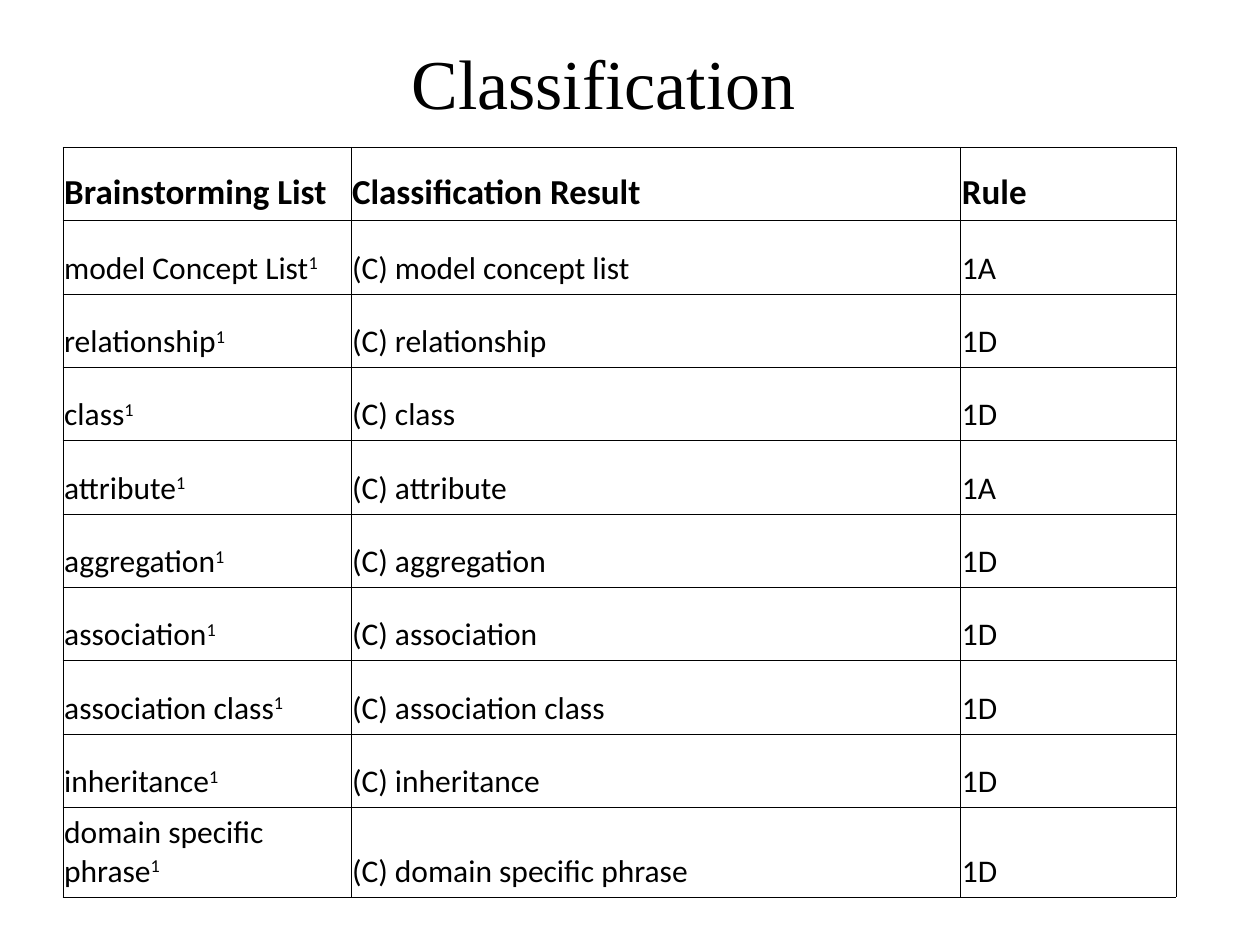
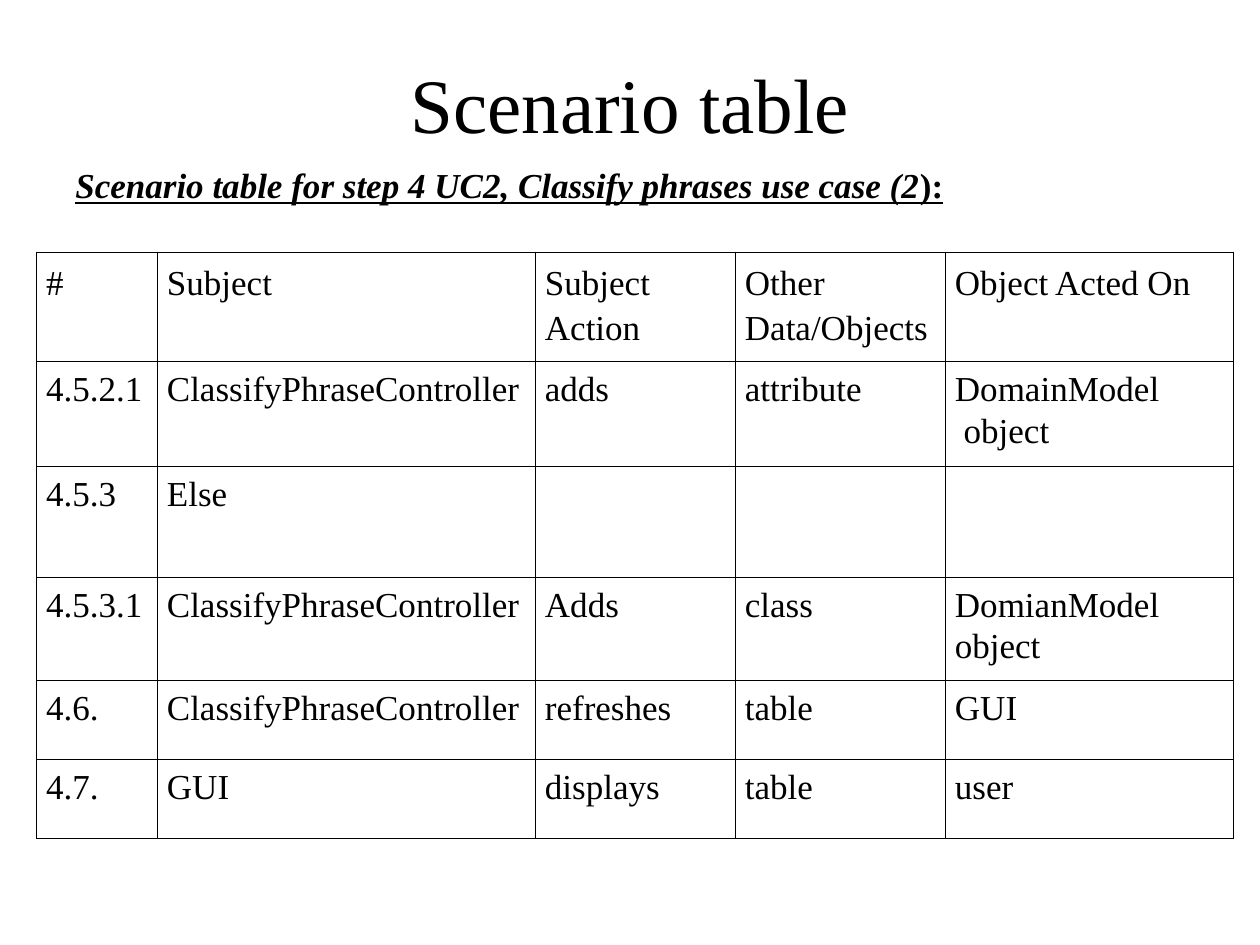
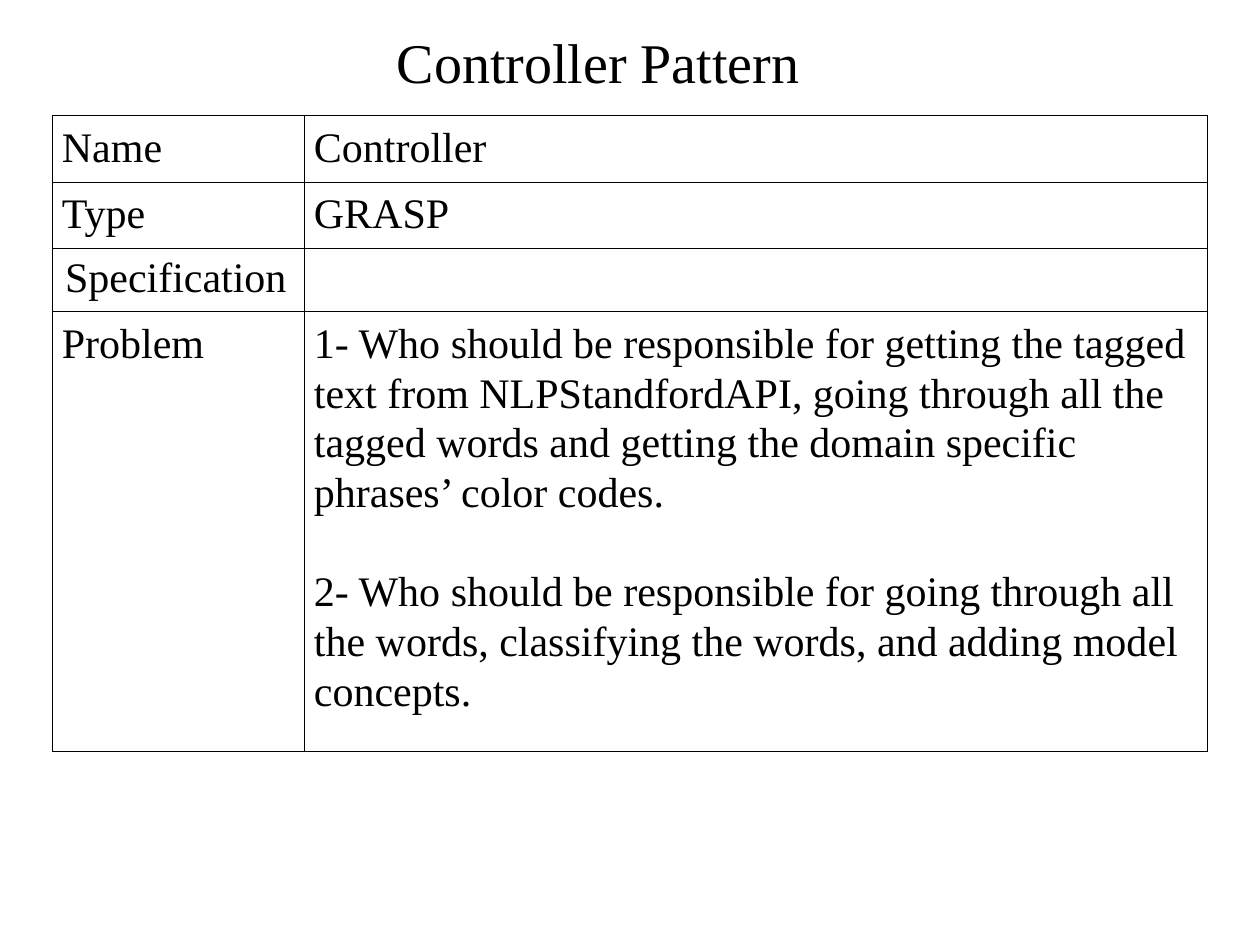
"""Builds three slides on classification, a scenario table and the controller pattern."""
from lxml import etree
from pptx import Presentation
from pptx.dml.color import RGBColor
from pptx.enum.text import MSO_ANCHOR, PP_ALIGN
from pptx.oxml.ns import qn
from pptx.util import Pt

CENTER, JUSTIFY = PP_ALIGN.CENTER, PP_ALIGN.JUSTIFY
MIDDLE, BOTTOM = MSO_ANCHOR.MIDDLE, MSO_ANCHOR.BOTTOM
COLORS = {"ink": "000000", "page": "FFFFFF"}
SERIF, SANS = "Times New Roman", "Calibri"
EDGE = 0.45


def write(para, text, size, face=SERIF, bold=False):
    run = para.add_run()
    run.text = text
    run.font.size = Pt(size)
    run.font.name = face
    run.font.bold = bold
    run.font.color.rgb = RGBColor.from_string(COLORS["ink"])
    return run


def grid(slide, left, top, widths, heights, rows, size, face=SERIF, pad=5.4):
    frame = slide.shapes.add_table(len(rows), len(widths), Pt(left), Pt(top),
                                   Pt(sum(widths)), Pt(sum(heights)))
    table = frame.table
    table.first_row = table.horz_banding = False
    for col, width in zip(table.columns, widths):
        col.width = Pt(width)
    for row, height, texts in zip(table.rows, heights, rows):
        row.height = Pt(height)
        for cell, text in zip(row.cells, texts):
            cell.margin_left = cell.margin_right = Pt(pad)
            cell.margin_top = cell.margin_bottom = Pt(3.6)
            props = cell._tc.get_or_add_tcPr()
            for side in ("a:lnL", "a:lnR", "a:lnT", "a:lnB"):
                line = etree.SubElement(props, qn(side), w=str(Pt(EDGE)))
                fill = etree.SubElement(line, qn("a:solidFill"))
                etree.SubElement(fill, qn("a:srgbClr"), val=COLORS["ink"])
            cell.fill.background()
            for i, part in enumerate(text.split("\n") if text else []):
                para = cell.text_frame.add_paragraph() if i else cell.text_frame.paragraphs[0]
                write(para, part, size, face)
    return table


deck = Presentation()
deck.slide_width, deck.slide_height = Pt(720), Pt(540)

slides = []
for title, width, height, size in [
    ("Classification", 618, 50.4, 40),
    ("Scenario table", 648, 74, 44),
    ("Controller Pattern", 612, 26.6, 32),
]:
    slide = deck.slides.add_slide(deck.slide_layouts[6])
    slide.background.fill.solid()
    slide.background.fill.fore_color.rgb = RGBColor.from_string(COLORS["page"])
    frame = slide.shapes.add_textbox(Pt(36), Pt(21.6), Pt(width), Pt(height)).text_frame
    frame.word_wrap = True
    frame.vertical_anchor = MIDDLE
    frame.margin_top = frame.margin_bottom = 0
    frame.paragraphs[0].alignment = CENTER
    write(frame.paragraphs[0], title, size)
    slides.append(slide)
first, second, third = slides

terms = [
    ("model Concept List", "1A"),
    ("relationship", "1D"),
    ("class", "1D"),
    ("attribute", "1A"),
    ("aggregation", "1D"),
    ("association", "1D"),
    ("association class", "1D"),
    ("inheritance", "1D"),
    ("domain specific phrase", "1D"),
]
rows = [("Brainstorming List", "Classification Result", "Rule")]
rows += [(term, f"(C) {term.lower()}", rule) for term, rule in terms]
table = grid(first, 36, 84.2, [164.5, 348.5, 123], [41.9] * 9 + [51.4], rows, 18, SANS, 0.7)
for cell in table.iter_cells():
    cell.vertical_anchor = BOTTOM
for cell in table.rows[0].cells:
    font = cell.text_frame.paragraphs[0].runs[0].font
    font.size, font.bold = Pt(20), True
for row in list(table.rows)[1:]:
    mark = write(row.cells[0].text_frame.paragraphs[0], "1", 18, SANS)
    mark._r.get_or_add_rPr().set("baseline", "30000")

frame = second.shapes.add_textbox(Pt(36), Pt(90), Pt(654), Pt(31.7)).text_frame
frame.word_wrap = True
for text, slant in [
    ("Scenario table for step 4 UC2, Classify phrases use case (2", True),
    ("):", False),
]:
    run = write(frame.paragraphs[0], text, 20, bold=True)
    run.font.italic, run.font.underline = slant, True

actor = "ClassifyPhraseController"
rows = [
    ("#", "Subject", "Subject Action", "Other Data/Objects", "Object Acted On"),
    ("4.5.2.1", actor, "adds", "attribute", "DomainModel\n object"),
    ("4.5.3", "Else", "", "", ""),
    ("4.5.3.1", actor, "Adds", "class", "DomianModel object"),
    ("4.6.", actor, "refreshes", "table", "GUI"),
    ("4.7.", "GUI", "displays", "table", "user"),
]
table = grid(second, 21, 144, [69, 216, 114.3, 120, 164.7],
             [62.3, 60, 63.4, 58.9, 45.1, 45.1], rows, 20)
for i, row in enumerate(table.rows):
    for j, cell in enumerate(row.cells):
        for para in cell.text_frame.paragraphs:
            para.line_spacing = 1.07 if i else 1.15
            if i == 0:
                para.space_after = Pt(10)
            elif j == 1 or (j == 4 and para.text.startswith("Dom")):
                para.alignment = JUSTIFY

rows = [
    ("Name", "Controller"),
    ("Type", "GRASP"),
    ("Specification", ""),
    ("Problem",
     "1- Who should be responsible for getting the tagged text from NLPStandfordAPI, "
     "going through all the tagged words and getting the domain specific phrases’ color codes.\n"
     "2- Who should be responsible for going through all the words, classifying the words, "
     "and adding model concepts."),
]
table = grid(third, 30, 66, [144, 516], [35.5, 36, 36, 246.3], rows, 24)
for cell in table.iter_cells():
    for para in cell.text_frame.paragraphs:
        para.line_spacing = 1.07
spec_cell = table.cell(2, 0)
spec_cell.margin_left = spec_cell.margin_right = Pt(7.2)
spec_cell.text_frame.paragraphs[0].line_spacing = 1.0
table.cell(3, 1).text_frame.paragraphs[1].space_before = Pt(28.4)

deck.save("out.pptx")
